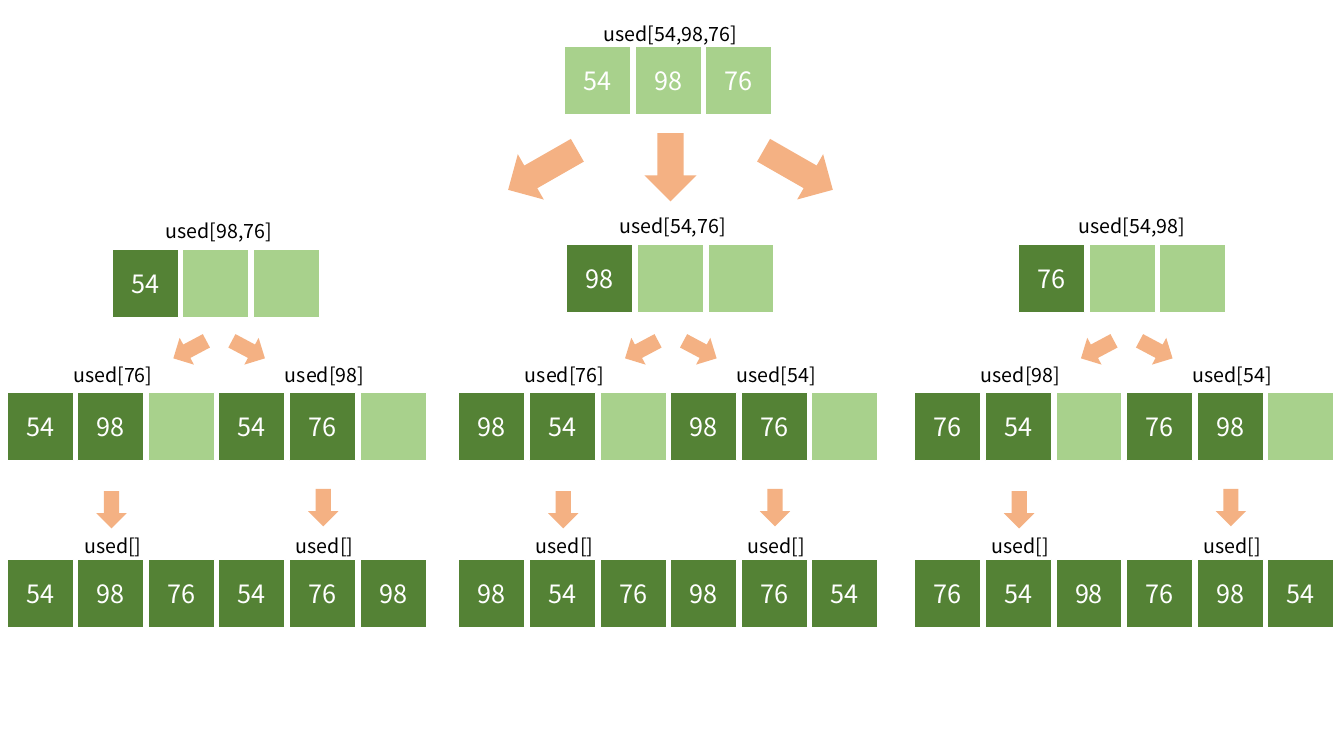
import pptx
import pptx.dml.color
import pptx.enum.shapes
import pptx.enum.text
import pptx.util

SHAPE = pptx.enum.shapes.MSO_SHAPE
GRID = 0.7  # inches per column and per row
CELL_WIDTH, CELL_HEIGHT = 0.94, 0.97
LIGHT_GREEN, DARK_GREEN = "A8D18C", "548235"
ORANGE, WHITE, BLACK = "F4B183", "FFFFFF", "000000"
CELL_FONT = {"name": "Noto Sans CJK KR", "size": pptx.util.Pt(18)}
LABEL_FONT = {"name": "Noto Sans CJK KR", "size": pptx.util.Pt(14)}

presentation = pptx.Presentation()
presentation.slide_width = pptx.util.Inches(13.33)
presentation.slide_height = pptx.util.Inches(7.5)
slide = presentation.slides.add_slide(presentation.slide_layouts[6])


def add_item(kind, center, top, width, height, color, text="", rotation=0):
    """Add a cell, an arrow, or (without a kind) a label, in grid units."""
    box = [pptx.util.Inches(value * GRID)
           for value in (center - width / 2, top, width, height)]
    rgb = pptx.dml.color.RGBColor.from_string
    if kind is None:
        shape = slide.shapes.add_textbox(*box)
        text_color, font_values = color, LABEL_FONT
    else:
        shape = slide.shapes.add_shape(kind, *box)
        shape.shadow.inherit = False
        shape.rotation = rotation
        shape.fill.solid()
        shape.fill.fore_color.rgb = rgb(color)
        if kind == SHAPE.RECTANGLE:
            shape.line.color.rgb = rgb(WHITE)
            shape.line.width = pptx.util.Pt(1)
        else:
            shape.line.fill.background()
        text_color, font_values = WHITE, CELL_FONT
    if text:
        shape.text_frame.word_wrap = True
        paragraph = shape.text_frame.paragraphs[0]
        paragraph.alignment = pptx.enum.text.PP_ALIGN.CENTER
        run = paragraph.add_run()
        run.text = text
        for name, value in font_values.items():
            setattr(run.font, name, value)
        run.font.color.rgb = rgb(text_color)


def add_node(left, top, chosen, unused, label_center, label_gap, label_size):
    """Draw three cells, the chosen ones dark, under their list of unused numbers."""
    for column in range(3):
        is_chosen = column < len(chosen)
        shown = chosen if is_chosen or chosen else unused
        add_item(SHAPE.RECTANGLE, left + column + CELL_WIDTH / 2, top,
                 CELL_WIDTH, CELL_HEIGHT,
                 DARK_GREEN if is_chosen else LIGHT_GREEN,
                 str(shown[column]) if column < len(shown) else "")
    add_item(None, label_center, top - label_gap, *label_size, BLACK,
             f"used[{','.join(map(str, unused))}]")


# Root with its three arrows
numbers = [54, 98, 76]
add_node(8, 0.66, [], numbers, 9.5, 0.42, (4.6, 0.49))
for center, top, length, rotation in [(7.69, 2.04, 1.13, 150.2),
                                      (9.5, 2, 0.97, 90),
                                      (11.31, 2.04, 1.13, 29.8)]:
    add_item(SHAPE.RIGHT_ARROW, center, top, length, 0.74, ORANGE,
             rotation=rotation)

# Branches: left edge, first choice's left and top, its label's center
branches = [(0.1, 1.59, 3.53, 3.1), (6.5, 8.03, 3.46, 9.53),
            (12.96, 14.43, 3.46, 16.04)]
for first, (left, node_left, node_top, label_center) in zip(numbers, branches):
    rest = [number for number in numbers if number != first]
    add_node(node_left, node_top, [first], rest, label_center, 0.5, (4.6, 0.49))

    # Second choice, then the finished permutation
    for index, second in enumerate(rest):
        last = rest[1 - index]
        child_left = left + 3 * index
        child_center = child_left + 1.5
        add_node(child_left, 5.56, [first, second], [last],
                 child_center, 0.49, (2.29, 0.81))
        add_node(child_left, 7.93, [first, second, last], [],
                 child_center, 0.43, (1.7, 0.49))
        for center, top, rotation in [
                (left + 2.59 + 0.83 * index, 4.74, (152, 28)[index]),
                (child_left + 1.48, 7.01 - 0.03 * index, 90)]:
            add_item(SHAPE.RIGHT_ARROW, center, top, 0.53, 0.43, ORANGE,
                     rotation=rotation)

presentation.save("out.pptx")
